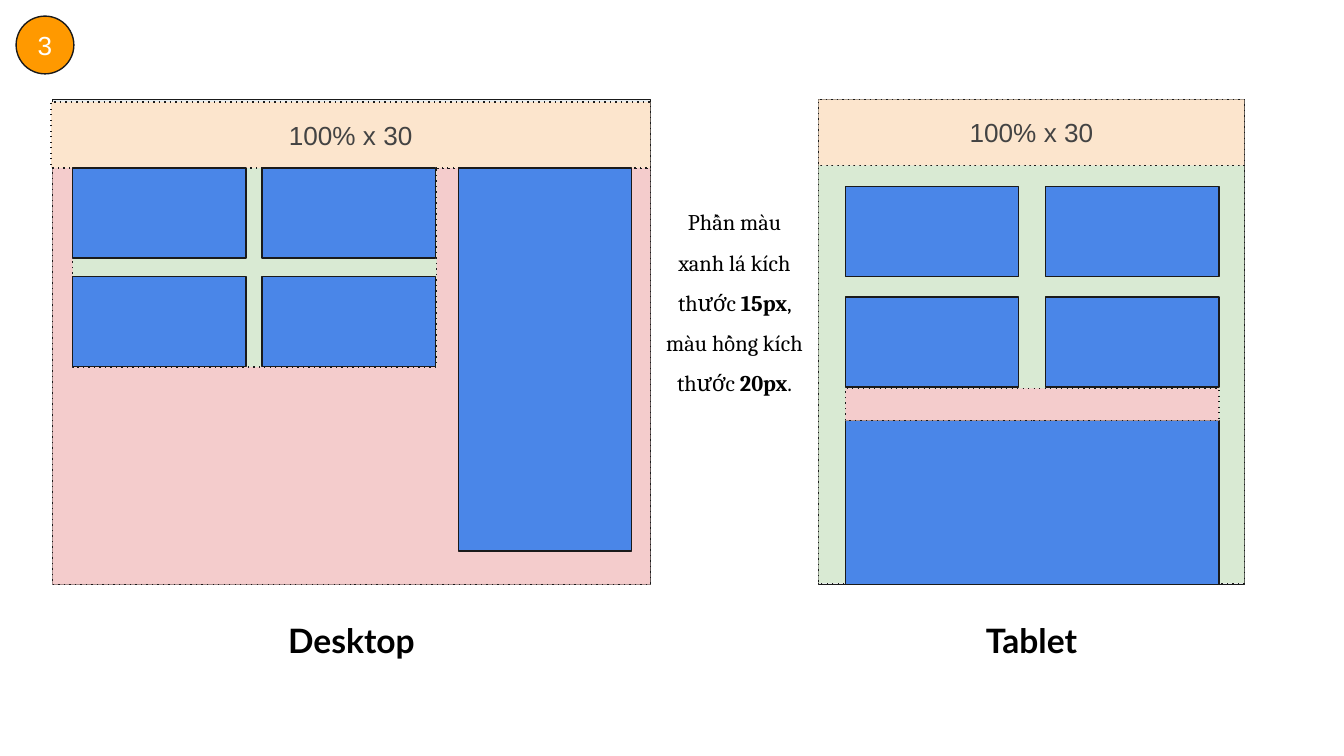
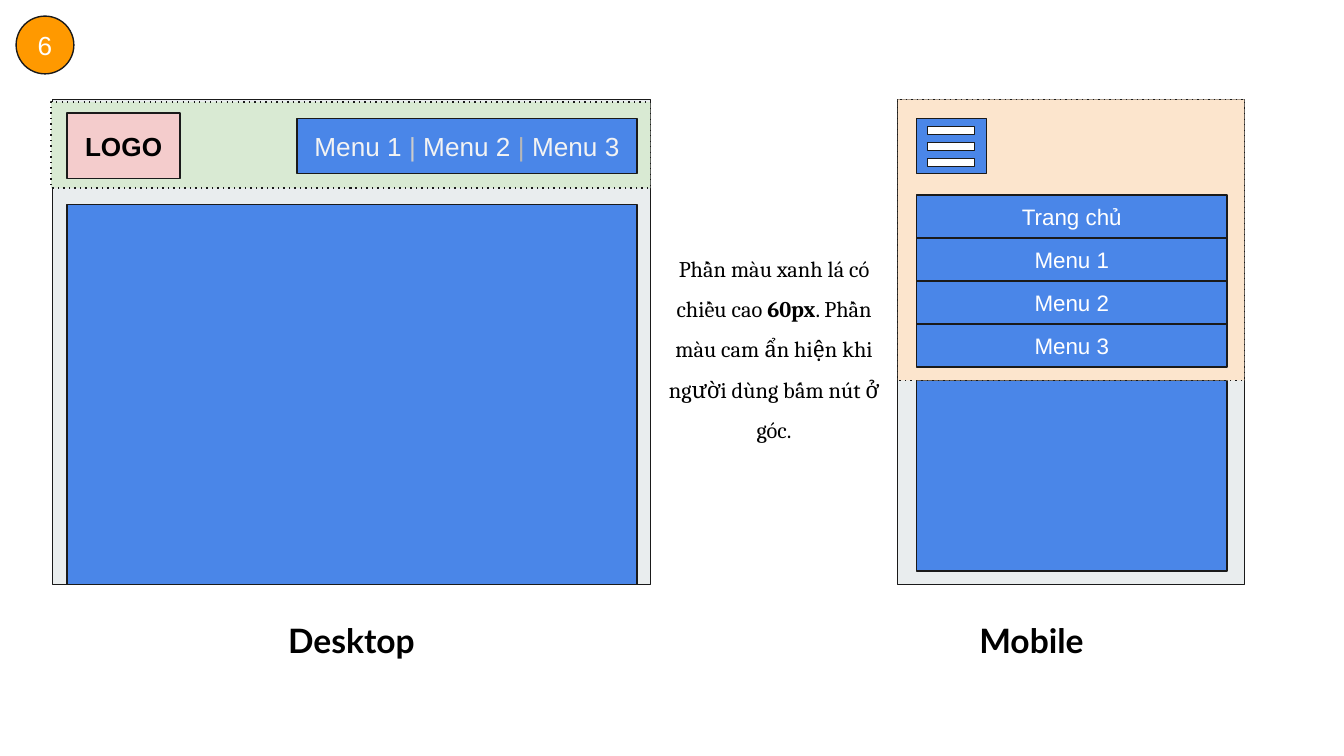
from dataclasses import dataclass

from pptx import Presentation
from pptx.dml.color import RGBColor
from pptx.enum.dml import MSO_LINE
from pptx.enum.shapes import MSO_SHAPE
from pptx.enum.text import MSO_ANCHOR, PP_ALIGN
from pptx.oxml.ns import qn
from pptx.util import Inches, Pt


@dataclass(frozen=True)
class Theme:
    ink: str = "1A1A1A"
    black: str = "000000"
    white: str = "FFFFFF"
    page: str = "E9EDEE"
    blue: str = "4A86E8"
    green: str = "D9EAD3"
    pink: str = "F4CCCC"
    peach: str = "FCE5CD"
    orange: str = "FF9900"
    dark_grey: str = "434343"
    menu_text: str = "F3F3F3"
    first_divider: str = "CCCCCC"
    second_divider: str = "B7B7B7"
    caption_font: str = "Lato"
    note_font: str = "Cambria"
    label_font: str = "Arial"
    caption_size: int = 18
    label_size: int = 14
    small_size: int = 12


theme = Theme()


def block(slide, left, top, width, height, fill, dotted=False, form=MSO_SHAPE.RECTANGLE):
    """Add an outlined shape, with lengths in inches."""
    shape = slide.shapes.add_shape(
        form, Inches(left), Inches(top), Inches(width), Inches(height))
    shape.shadow.inherit = False
    shape.fill.solid()
    shape.fill.fore_color.rgb = RGBColor.from_string(fill)
    shape.line.color.rgb = RGBColor.from_string(theme.ink)
    shape.line.width = Pt(0.75)
    if dotted:
        shape.line.dash_style = MSO_LINE.ROUND_DOT
        shape.element.spPr.find(".//" + qn("a:prstDash")).set("val", "dot")
    return shape


def write(shape, runs, size, color, font=theme.label_font, bold=False,
          align=PP_ALIGN.CENTER, anchor=MSO_ANCHOR.MIDDLE, spacing=None):
    """Fill a shape with one paragraph; each run is (text, own colour, own bold)."""
    frame = shape.text_frame
    frame.word_wrap = True
    frame.vertical_anchor = anchor
    frame.margin_left = frame.margin_right = Inches(0.1)
    frame.margin_top = frame.margin_bottom = Inches(0.1)
    paragraph = frame.paragraphs[0]
    paragraph.alignment = align
    paragraph.line_spacing = spacing
    paragraph.font.name = font
    paragraph.font.size = Pt(size)
    paragraph.font.bold = bold
    paragraph.font.color.rgb = RGBColor.from_string(color)
    for text, own_color, own_bold in runs:
        run = paragraph.add_run()
        run.text = text
        if own_color:
            run.font.color.rgb = RGBColor.from_string(own_color)
        if own_bold:
            run.font.bold = True


deck = Presentation()
deck.slide_width = Inches(10)
deck.slide_height = Inches(5.625)

# Shared grid: a desktop on the left, a smaller device ending at the right edge
frame_top, frame_height = 0.74, 3.61
desktop_left, desktop_width = 0.39, 4.45
desktop_right = desktop_left + desktop_width
device_right = 9.26
tablet_left, mobile_left = 6.09, 6.68
tablet_width = device_right - tablet_left
mobile_width = device_right - mobile_left

gap_note = [("Phần màu xanh lá kích thước ", None, False), ("15px", None, True),
            (", màu hồng kích thước", None, False), (" 20px", None, True),
            (".", None, False)]
menu_note = [("Phần màu xanh lá có chiều cao ", None, False), ("60px", None, True),
             (". Phần màu cam ẩn hiện khi người dùng bấm nút ở góc.", None, False)]

exercises = [
    ("3", "Tablet", tablet_left, gap_note, 1.35, 2.09, MSO_ANCHOR.TOP),
    ("6", "Mobile", mobile_left, menu_note, frame_top, frame_height, MSO_ANCHOR.MIDDLE),
]
slides = []
for number, device, device_left, note, note_top, note_height, note_anchor in exercises:
    slide = deck.slides.add_slide(deck.slide_layouts[6])
    slides.append(slide)
    for left, width in ((device_left, device_right - device_left),
                        (desktop_left, desktop_width)):
        block(slide, left, frame_top, width, frame_height, theme.page)
    for caption, left, width in (("Desktop", desktop_left, desktop_width),
                                 (device, tablet_left, tablet_width)):
        caption_box = slide.shapes.add_textbox(
            Inches(left), Inches(4.51), Inches(width), Inches(0.57))
        write(caption_box, [(caption, None, False)], theme.caption_size, theme.black,
              theme.caption_font, bold=True, anchor=MSO_ANCHOR.TOP)
    note_box = slide.shapes.add_textbox(
        Inches(desktop_right), Inches(note_top),
        Inches(device_left - desktop_right), Inches(note_height))
    write(note_box, note, theme.small_size, theme.black, theme.note_font,
          anchor=note_anchor, spacing=1.5)
    badge = block(slide, 0.12, 0.12, 0.43, 0.43, theme.orange, form=MSO_SHAPE.OVAL)
    write(badge, [(number, None, False)], theme.label_size, theme.white,
          align=PP_ALIGN.LEFT)

grid_slide, menu_slide = slides

# Slide 1: card grids under a full-width header
card_width, card_height = 1.29, 0.67
header_height = 0.49

block(grid_slide, desktop_left, 1.25, desktop_width, 3.1, theme.pink, dotted=True)
block(grid_slide, 0.54, 1.12, 2.71, 1.61, theme.green, dotted=True)
block(grid_slide, tablet_left, 1.23, tablet_width, 3.11, theme.green, dotted=True)
for left, top, width in ((0.38, 0.76, 4.46), (tablet_left, frame_top, tablet_width)):
    header = block(grid_slide, left, top, width, header_height, theme.peach, dotted=True)
    write(header, [("100% x 30", None, False)], theme.label_size, theme.dark_grey)

for columns, rows in (((0.54, 1.95), (1.25, 2.06)), ((6.29, 7.78), (1.39, 2.21))):
    for top in rows:
        for left in columns:
            block(grid_slide, left, top, card_width, card_height, theme.blue)
block(grid_slide, 3.41, 1.25, card_width, 2.85, theme.blue)
block(grid_slide, 6.29, 3.13, 2.78, 1.22, theme.blue)
block(grid_slide, 6.29, 2.89, 2.78, 0.24, theme.pink, dotted=True)

# Slide 2: a menu bar on the desktop, a folding menu on the mobile
block(menu_slide, 0.38, 0.76, 4.46, 0.64, theme.green, dotted=True)
logo = block(menu_slide, 0.5, 0.84, 0.84, 0.49, theme.pink)
write(logo, [("LOGO", None, False)], theme.label_size, theme.black, bold=True)
menu_bar = block(menu_slide, 2.21, 0.88, 2.53, 0.41, theme.blue)
write(menu_bar,
      [("Menu 1 ", None, False), ("|", theme.first_divider, False),
       (" Menu 2 ", None, False), ("|", theme.second_divider, False),
       (" Menu 3", None, False)],
      theme.label_size, theme.menu_text)
block(menu_slide, 0.5, 1.52, 4.24, 2.83, theme.blue)

item_left, item_width, item_height = 6.82, 2.31, 0.32
block(menu_slide, item_left, 2.83, item_width, 1.42, theme.blue)
block(menu_slide, mobile_left, frame_top, mobile_width, 2.09, theme.peach, dotted=True)
block(menu_slide, item_left, 0.88, 0.52, 0.41, theme.blue)
for bar in range(3):
    block(menu_slide, 6.9, 0.94 + bar * 0.12, 0.35, 0.06, theme.white)
for row, label in enumerate(("Trang chủ", "Menu 1", "Menu 2", "Menu 3")):
    item = block(menu_slide, item_left, 1.45 + row * item_height,
                 item_width, item_height, theme.blue)
    write(item, [(label, None, False)], theme.small_size, theme.white)

deck.save("out.pptx")
